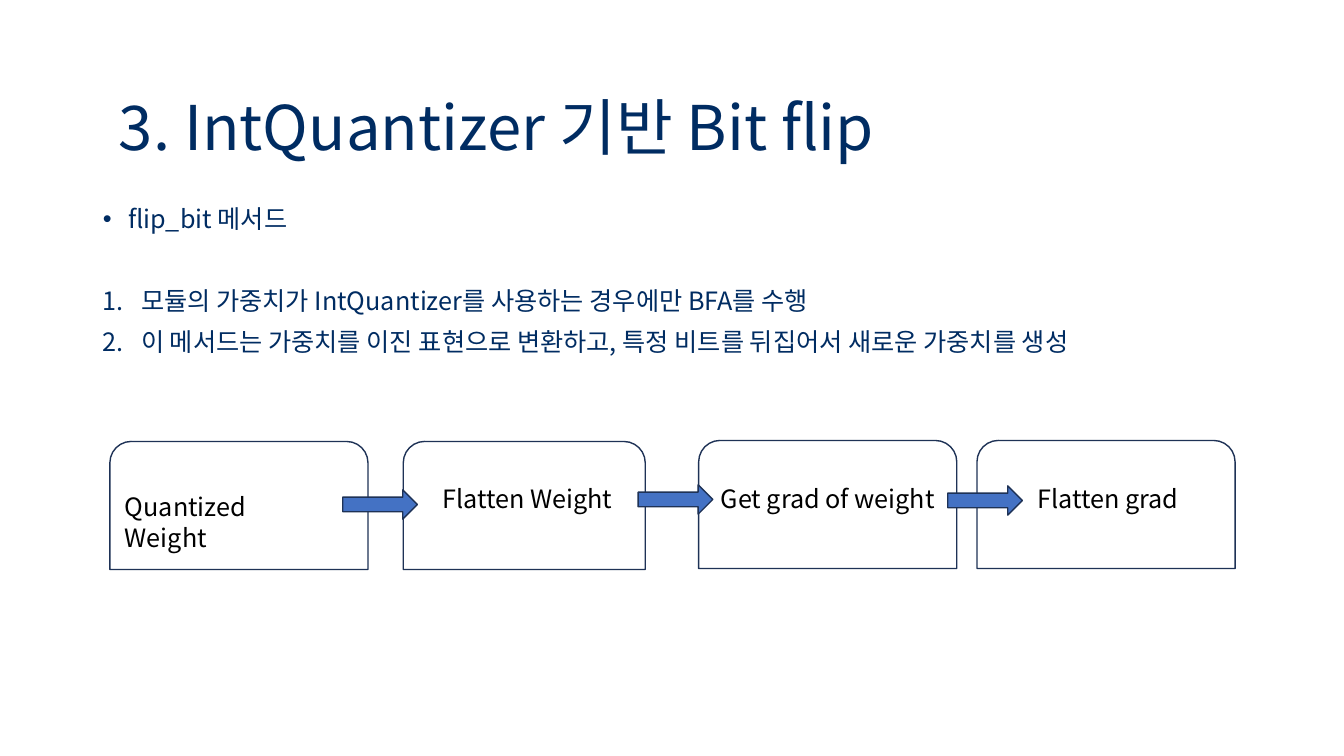
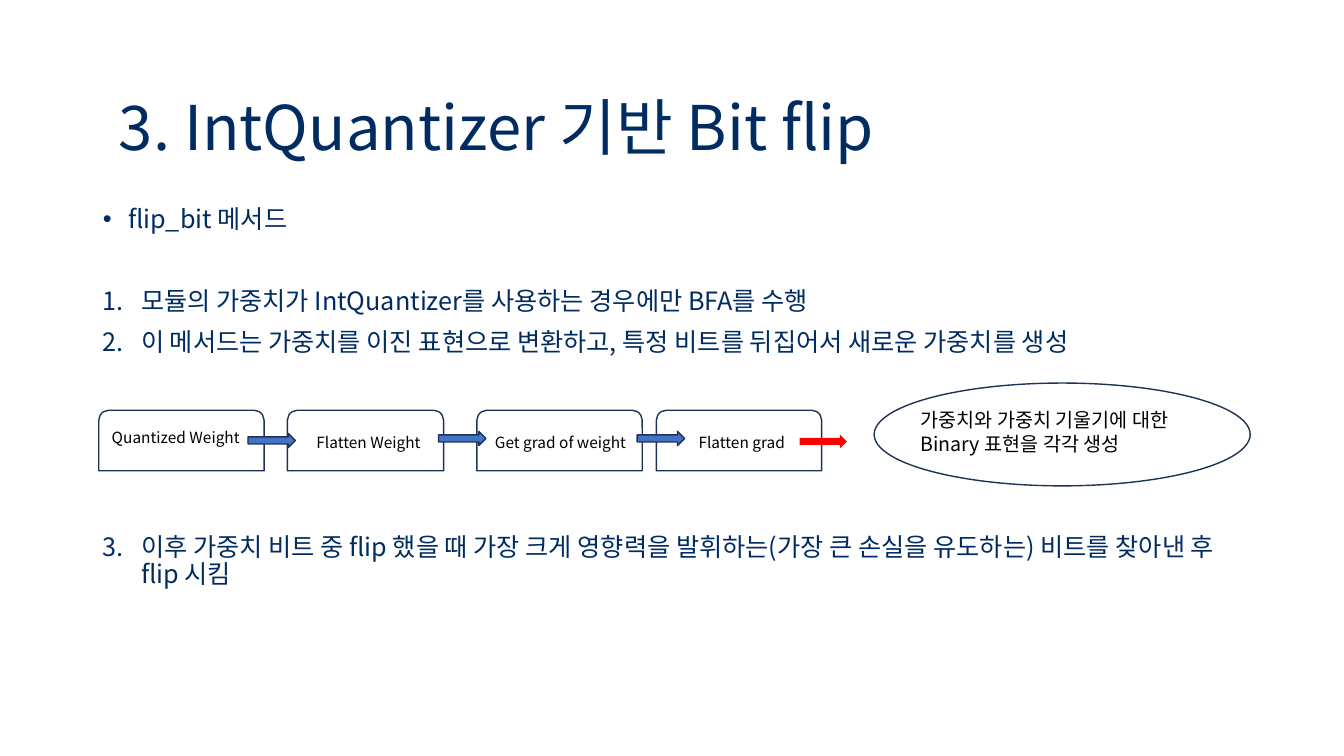
"""Build two slides that explain the flip_bit method as a flow of weights and gradients."""
from pptx import Presentation
from pptx import util as u
from pptx.dml.color import RGBColor
from pptx.enum import shapes, text
from pptx.oxml.ns import qn
from lxml import etree

COLORS = {"navy": "002C62", "outline": "1E3256", "arrow": "4472C4", "red": "FF0000", "black": "000000"}
FONT = "Noto Sans CJK KR"
TITLE = "3. IntQuantizer 기반 Bit flip"
STEPS = ["Quantized Weight", "Flatten Weight", "Get grad of weight", "Flatten grad"]
SHAPE = shapes.MSO_SHAPE


def write(tf, line, size=18, color="navy", bullet=None, indent=0, before=0, spacing=None, first=True):
    """Write one formatted paragraph into a text frame."""
    p = tf.paragraphs[0] if first else tf.add_paragraph()
    p.alignment = text.PP_ALIGN.LEFT
    p.space_before = u.Pt(before)
    if spacing:
        p.line_spacing = spacing
    if bullet:
        pPr = p._p.get_or_add_pPr()
        pPr.set("marL", str(u.Inches(indent)))
        pPr.set("indent", str(-u.Inches(indent)))
        if bullet == "number":
            etree.SubElement(pPr, qn("a:buAutoNum"), type="arabicPeriod")
        else:
            etree.SubElement(pPr, qn("a:buChar"), char=bullet)
    r = p.add_run()
    r.text = line
    r.font.size = u.Pt(size)
    r.font.name = FONT
    r.font.color.rgb = RGBColor.from_string(COLORS[color])
    etree.SubElement(r._r.get_or_add_rPr(), qn("a:ea"), typeface=FONT)


def add_box(s, kind, at, fill=None, line="outline"):
    """Add a preset shape without shadow."""
    sp = s.shapes.add_shape(kind, *map(u.Inches, at))
    sp.shadow.inherit = False
    if fill:
        sp.fill.solid()
        sp.fill.fore_color.rgb = RGBColor.from_string(COLORS[fill])
    else:
        sp.fill.background()
    if line:
        sp.line.color.rgb = RGBColor.from_string(COLORS[line])
        sp.line.width = u.Pt(1)
    else:
        sp.line.fill.background()


points = [
    ("flip_bit 메서드", "•", 0.25, 0),
    ("모듈의 가중치가 IntQuantizer를 사용하는 경우에만 BFA를 수행", "number", 0.38, 39),
    ("이 메서드는 가중치를 이진 표현으로 변환하고, 특정 비트를 뒤집어서 새로운 가중치를 생성", "number", 0.38, 10),
]
last_point = ("이후 가중치 비트 중 flip 했을 때 가장 크게 영향력을 발휘하는(가장 큰 손실을 유도하는) "
              "비트를 찾아낸 후 flip 시킴", "number", 0.38, 127)

slides = [
    {
        "points": points,
        "boxes": [(1.09, 4.38, 2.56, 1.27), (4, 4.38, 2.4, 1.27), (6.93, 4.37, 2.56, 1.27), (9.69, 4.37, 2.56, 1.27)],
        "labels": [(1.14, 4.83, 2.2), (4.29, 4.75, 2.27), (7.05, 4.75, 2.99), (10.19, 4.75, 2.27)],
        "label_height": 0.4,
        "label_size": 18,
        "arrows": [(3.4, 4.86), (6.33, 4.81), (9.4, 4.82)],
        "arrow_size": (0.74, 0.29),
    },
    {
        "points": points + [last_point],
        "boxes": [(0.98, 4.07, 1.64, 0.6), (2.85, 4.07, 1.55, 0.6), (4.73, 4.07, 1.64, 0.6), (6.51, 4.07, 1.64, 0.6)],
        "labels": [(1.01, 4.2, 1.93), (3.04, 4.25, 1.46), (4.81, 4.25, 1.92), (6.83, 4.25, 1.46)],
        "label_height": 0.29,
        "label_size": 11,
        "arrows": [(2.46, 4.3), (4.35, 4.28), (6.32, 4.28)],
        "arrow_size": (0.47, 0.14),
    },
]

prs = Presentation()
prs.slide_width, prs.slide_height = u.Inches(13.33), u.Inches(7.5)

for flow in slides:
    s = prs.slides.add_slide(prs.slide_layouts[1])
    title, body = s.placeholders
    for sp, at in ((title, (1.08, 0.57, 11.5, 1.45)), (body, (0.92, 2, 11.31, 4.76))):
        sp.left, sp.top, sp.width, sp.height = map(u.Inches, at)
        sp.text_frame.auto_size = text.MSO_AUTO_SIZE.NONE
    title.text_frame.vertical_anchor = text.MSO_ANCHOR.MIDDLE
    write(title.text_frame, TITLE, size=44, spacing=0.9)
    for i, (line, bullet, indent, before) in enumerate(flow["points"]):
        write(body.text_frame, line, bullet=bullet, indent=indent, before=before, spacing=0.9, first=i == 0)

    for at in flow["boxes"]:
        add_box(s, SHAPE.ROUND_2_SAME_RECTANGLE, at)
    for step, at in zip(STEPS, flow["labels"]):
        tf = s.shapes.add_textbox(*map(u.Inches, (*at, flow["label_height"]))).text_frame
        tf.word_wrap = True
        write(tf, step, size=flow["label_size"], color="black")
    for at in flow["arrows"]:
        add_box(s, SHAPE.RIGHT_ARROW, at + flow["arrow_size"], fill="arrow")

add_box(s, SHAPE.RIGHT_ARROW, (7.93, 4.31, 0.47, 0.14), fill="red", line=None)
add_box(s, SHAPE.OVAL, (8.67, 3.8, 3.73, 1.02))
tf = s.shapes.add_textbox(*map(u.Inches, (9.03, 4, 3.25, 0.44))).text_frame
tf.word_wrap = True
write(tf, "가중치와 가중치 기울기에 대한 Binary 표현을 각각 생성", size=14, color="black")

prs.save("out.pptx")
